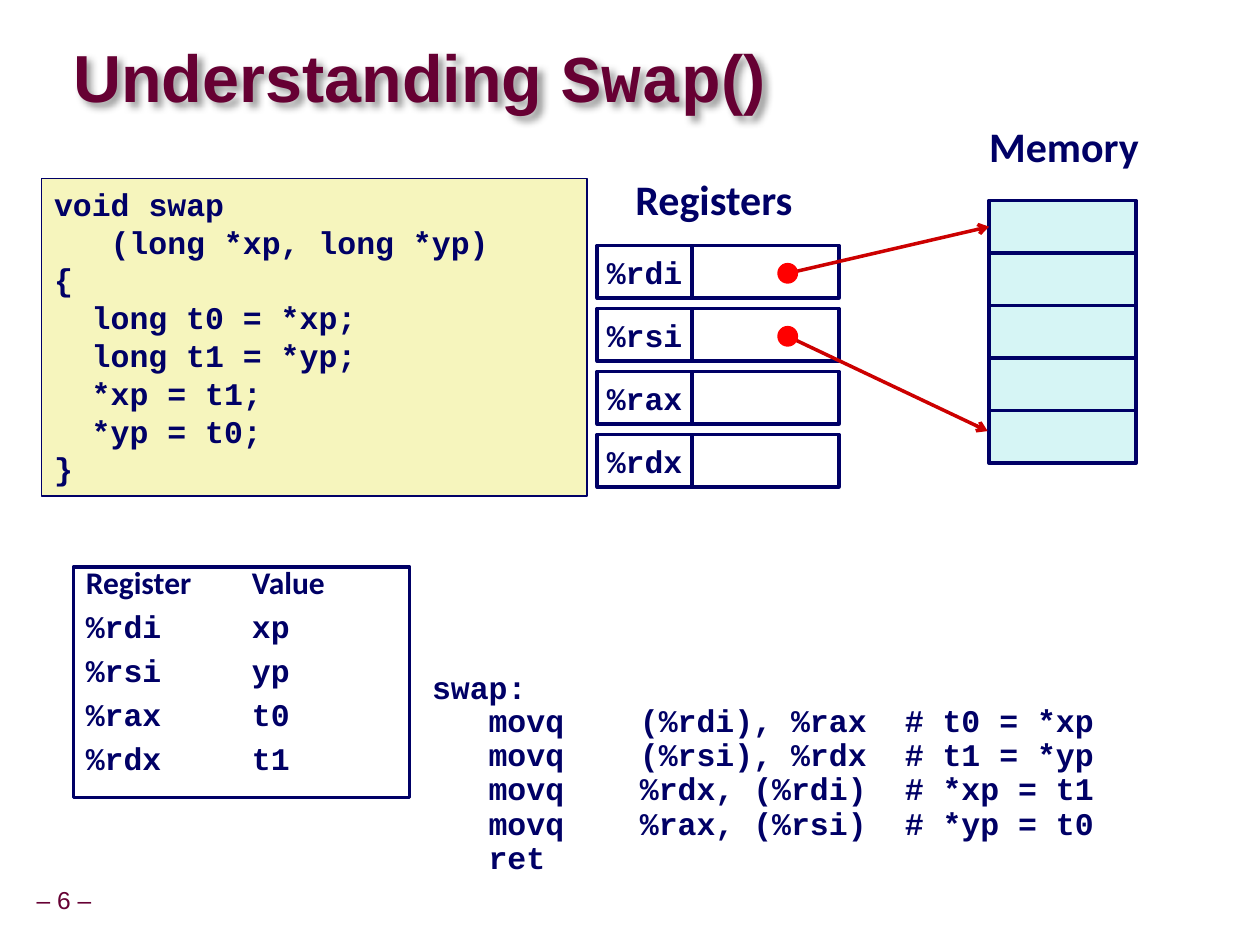
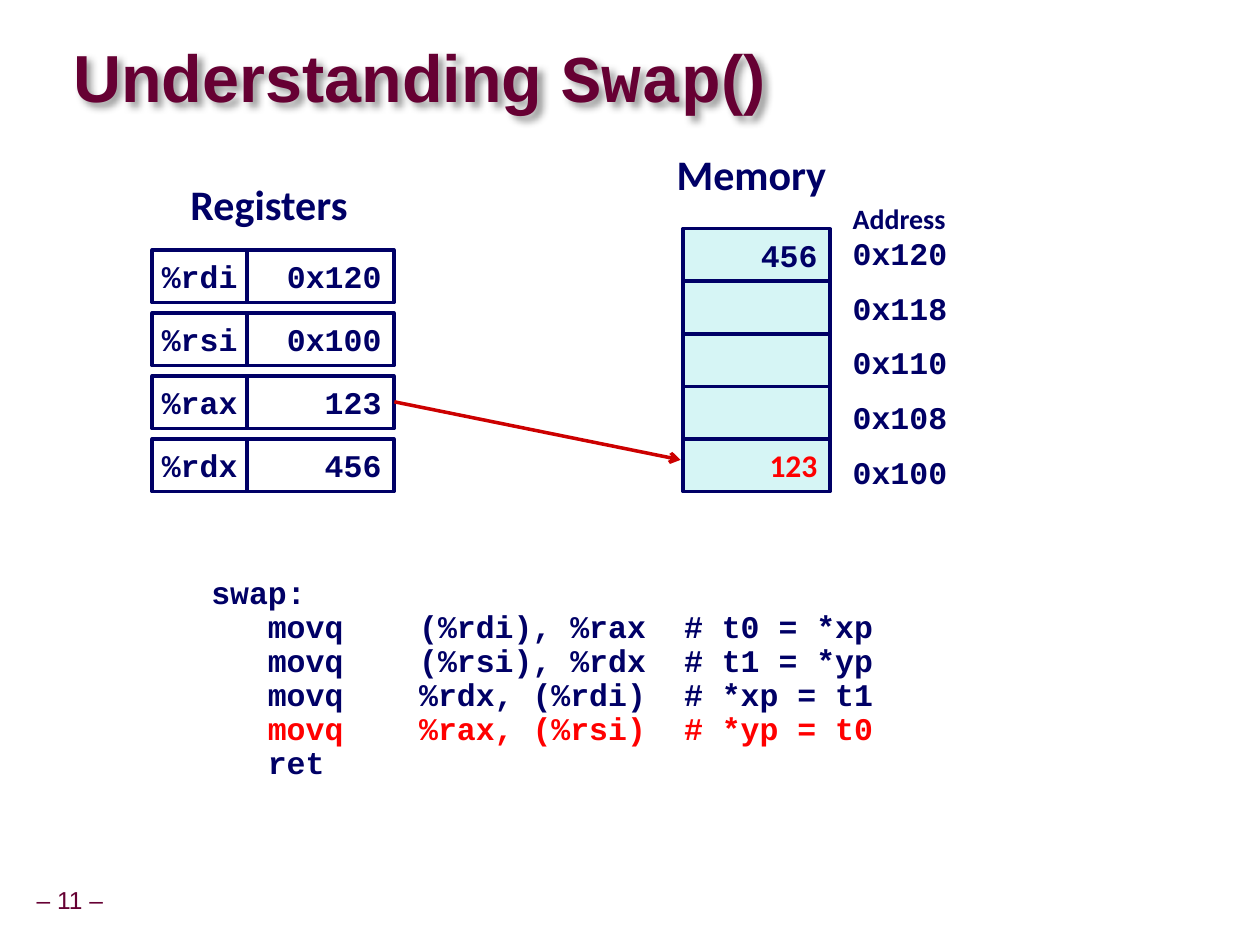
from dataclasses import dataclass
from typing import Optional, Sequence

from lxml import etree
from pptx import Presentation
from pptx.dml.color import RGBColor
from pptx.enum.shapes import MSO_CONNECTOR as Connector, MSO_SHAPE as Shape
from pptx.enum.text import MSO_ANCHOR as Anchor, PP_ALIGN as Align
from pptx.oxml.ns import qn
from pptx.util import Cm, Pt

# Shared style
NAVY, MAROON, RED, ARROW_RED = "000066", "660033", "FF0000", "CC0000"
WHITE, YELLOW, AQUA = "FFFFFF", "F6F5BD", "D6F5F5"
SANS, LABEL, MONO = "Arial", "Calibri", "Courier New"

# Shared grid, in centimetres
CELL_HEIGHT = 1.06
NAME_WIDTH, VALUE_WIDTH = 1.91, 2.96
REGISTER_STEP, ADDRESS_STEP = 1.27, 1.1
DOT = 0.42
CODE_TABS = (0.76, 1.14)
ASSEMBLY_TABS = (1.14, 4.19, 9.53)

REGISTERS = ("%rdi", "%rsi", "%rax", "%rdx")
C_CODE = (
    "void swap",
    "\t\t(long *xp, long *yp)",
    "{",
    "\tlong t0 = *xp;",
    "\tlong t1 = *yp;",
    "\t*xp = t1;",
    "\t*yp = t0;",
    "}",
)
ASSEMBLY = (
    "swap:",
    "\tmovq\t(%rdi), %rax\t# t0 = *xp",
    "\tmovq\t(%rsi), %rdx\t# t1 = *yp",
    "\tmovq\t%rdx, (%rdi)\t# *xp = t1",
    "\tmovq\t%rax, (%rsi)\t# *yp = t0",
    "\tret",
)


@dataclass(frozen=True)
class Area:
    left: float
    top: float
    width: float
    height: float

    def lengths(self) -> tuple:
        return Cm(self.left), Cm(self.top), Cm(self.width), Cm(self.height)


@dataclass(frozen=True)
class Run:
    text: str
    font: Optional[str] = None
    color: Optional[str] = None


@dataclass(frozen=True)
class Cell:
    text: str = ""
    font: str = MONO
    color: str = NAVY


@dataclass(frozen=True)
class Arrow:
    start: tuple
    end: tuple
    dot: bool = False


def rgb(color: str) -> RGBColor:
    return RGBColor.from_string(color)


# Building blocks
def write_text(shape, lines: Sequence, *, font: str = MONO, size: float = 18,
               color: str = NAVY, bold: bool = True, align=Align.LEFT,
               anchor=Anchor.TOP, wrap: bool = True, spacing: float = 1.0,
               before: float = 0, tabs: Sequence = (), inset: Optional[float] = None):
    """Fill a shape with lines; a line is a string or a sequence of runs."""
    frame = shape.text_frame
    frame.word_wrap = wrap
    frame.vertical_anchor = anchor
    if inset is not None:
        frame.margin_left = frame.margin_right = Cm(inset)
        frame.margin_top = frame.margin_bottom = Cm(inset)
    for index, line in enumerate(lines):
        paragraph = frame.add_paragraph() if index else frame.paragraphs[0]
        paragraph.alignment = align
        paragraph.line_spacing = spacing
        paragraph.space_before = Pt(before)
        if tabs:
            tab_list = etree.SubElement(paragraph._p.get_or_add_pPr(), qn("a:tabLst"))
            for position in tabs:
                etree.SubElement(tab_list, qn("a:tab"), pos=str(Cm(position)), algn="l")
        for part in [Run(line)] if isinstance(line, str) else line:
            run = paragraph.add_run()
            run.text = part.text
            run.font.name = part.font or font
            run.font.size = Pt(size)
            run.font.bold = bold
            run.font.color.rgb = rgb(part.color or color)
    return shape


def add_text(slide, area: Area, lines: Sequence, **text_format):
    return write_text(slide.shapes.add_textbox(*area.lengths()), lines, **text_format)


def add_box(slide, area: Area, *, fill: Optional[str] = None,
            outline: Optional[str] = NAVY, weight: float = 2, kind=Shape.RECTANGLE):
    shape = slide.shapes.add_shape(kind, *area.lengths())
    shape.shadow.inherit = False
    if fill:
        shape.fill.solid()
        shape.fill.fore_color.rgb = rgb(fill)
    else:
        shape.fill.background()
    if outline:
        shape.line.color.rgb = rgb(outline)
        shape.line.width = Pt(weight)
    else:
        shape.line.fill.background()
    return shape


def add_cell(slide, area: Area, cell: Cell, *, fill: str, align=Align.RIGHT) -> None:
    shape = add_box(slide, area, fill=fill)
    if cell.text:
        write_text(shape, [cell.text], font=cell.font, color=cell.color,
                   align=align, anchor=Anchor.MIDDLE, wrap=False)


def add_heading(slide, left: float, top: float, text: str) -> None:
    add_text(slide, Area(left, top, 3.7, CELL_HEIGHT), [text],
             font=LABEL, size=24, wrap=False)


def add_arrow(slide, arrow: Arrow) -> None:
    points = [Cm(value) for value in (*arrow.start, *arrow.end)]
    connector = slide.shapes.add_connector(Connector.STRAIGHT, *points)
    connector.line.color.rgb = rgb(ARROW_RED)
    connector.line.width = Pt(2)
    etree.SubElement(connector.line._get_or_add_ln(), qn("a:tailEnd"), type="arrow")
    etree.SubElement(connector._element.spPr, qn("a:effectLst"))
    if arrow.dot:
        x, y = arrow.start
        add_box(slide, Area(x - DOT / 2, y - DOT / 2, DOT, DOT),
                fill=RED, outline=None, kind=Shape.OVAL)


# Parts of the diagrams
def add_registers(slide, left: float, top: float, values: Sequence[str]) -> None:
    add_heading(slide, left + 0.52, top - 1.57, "Registers")
    for row, (name, value) in enumerate(zip(REGISTERS, values)):
        y = top + row * REGISTER_STEP
        add_cell(slide, Area(left, y, NAME_WIDTH, CELL_HEIGHT), Cell(name),
                 fill=WHITE, align=Align.CENTER)
        add_cell(slide, Area(left + NAME_WIDTH, y, VALUE_WIDTH, CELL_HEIGHT),
                 Cell(value), fill=WHITE)


def add_memory(slide, left: float, top: float, heading_left: float,
               cells: Sequence[Cell]) -> None:
    add_heading(slide, heading_left, top - 1.74, "Memory")
    for row, cell in enumerate(cells):
        area = Area(left, top + row * CELL_HEIGHT, VALUE_WIDTH, CELL_HEIGHT)
        add_cell(slide, area, cell, fill=AQUA)


def add_addresses(slide, left: float, top: float, addresses: Sequence[str]) -> None:
    add_text(slide, Area(left, top - 0.66, 3.38, 0.94), ["Address"], font=LABEL, size=16)
    for row, address in enumerate(addresses):
        add_text(slide, Area(left, top + row * ADDRESS_STEP, 3.38, 1.02), [address])


def add_assembly(slide, left: float, top: float, active: Optional[int] = None) -> None:
    lines = [[Run(line, color=RED if index == active else None)]
             for index, line in enumerate(ASSEMBLY)]
    listing = add_text(slide, Area(left, top, 16.3, 4.5), lines,
                       spacing=0.9, tabs=ASSEMBLY_TABS)
    listing.text_frame.paragraphs[0].line_spacing = 1.0


def add_title(slide) -> None:
    title = add_text(slide, Area(1.48, 0.85, 17.7, 1.6),
                     [[Run("Understanding "), Run("Swap", MONO), Run("()")]],
                     font=SANS, size=38, color=MAROON, anchor=Anchor.MIDDLE,
                     spacing=0.87, inset=0)
    effects = etree.SubElement(title._element.spPr, qn("a:effectLst"))
    shadow = etree.SubElement(effects, qn("a:outerShdw"), blurRad=str(Pt(4)),
                              dist=str(Pt(3)), dir="2700000", algn="tl")
    black = etree.SubElement(shadow, qn("a:srgbClr"), val="000000")
    etree.SubElement(black, qn("a:alpha"), val="40000")


def new_slide(presentation, number: int):
    slide = presentation.slides.add_slide(presentation.slide_layouts[6])
    slide.background.fill.solid()
    slide.background.fill.fore_color.rgb = rgb(WHITE)
    add_title(slide)
    add_text(slide, Area(0.61, 17.78, 1.68, 0.79), [f"– {number} –"], font=SANS,
             size=14, color=MAROON, bold=False, anchor=Anchor.MIDDLE,
             wrap=False, spacing=0.9, inset=0.13)
    return slide


# Slides
def build_overview(presentation) -> None:
    slide = new_slide(presentation, 6)
    code_box = add_box(slide, Area(0.84, 3.6, 11, 6.4), fill=YELLOW, weight=1)
    write_text(code_box, C_CODE, tabs=CODE_TABS)
    add_registers(slide, 12.04, 4.95, [""] * len(REGISTERS))
    add_memory(slide, 19.94, 4.04, 19.69, [Cell()] * 5)
    for arrow in (Arrow((15.88, 5.51), (19.94, 4.57), dot=True),
                  Arrow((15.88, 6.78), (19.91, 8.69), dot=True)):
        add_arrow(slide, arrow)

    # Which variable each register holds
    rows = [f"{name}\t{variable}"
            for name, variable in zip(REGISTERS, ("xp", "yp", "t0", "t1"))]
    write_text(add_box(slide, Area(1.48, 11.43, 6.78, 4.65)),
               [[Run("Register\tValue", LABEL)], *rows],
               spacing=0.7, before=10, tabs=[3.35])
    add_assembly(slide, 8.46, 13.34)


def build_last_step(presentation) -> None:
    slide = new_slide(presentation, 11)
    add_registers(slide, 3.07, 5.04, ["0x120", "0x100", "123", "456"])
    add_memory(slide, 13.77, 4.61, 13.39,
               [Cell("456"), Cell(), Cell(), Cell(), Cell("123", LABEL, RED)])
    add_addresses(slide, 16.94, 4.6, ["0x120", "0x118", "0x110", "0x108", "0x100"])
    add_arrow(slide, Arrow((7.95, 8.1), (13.72, 9.27)))
    add_assembly(slide, 4.01, 11.43, active=4)


def main() -> None:
    presentation = Presentation()
    presentation.slide_width, presentation.slide_height = Cm(25.4), Cm(19.05)
    build_overview(presentation)
    build_last_step(presentation)
    presentation.save("out.pptx")


main()
